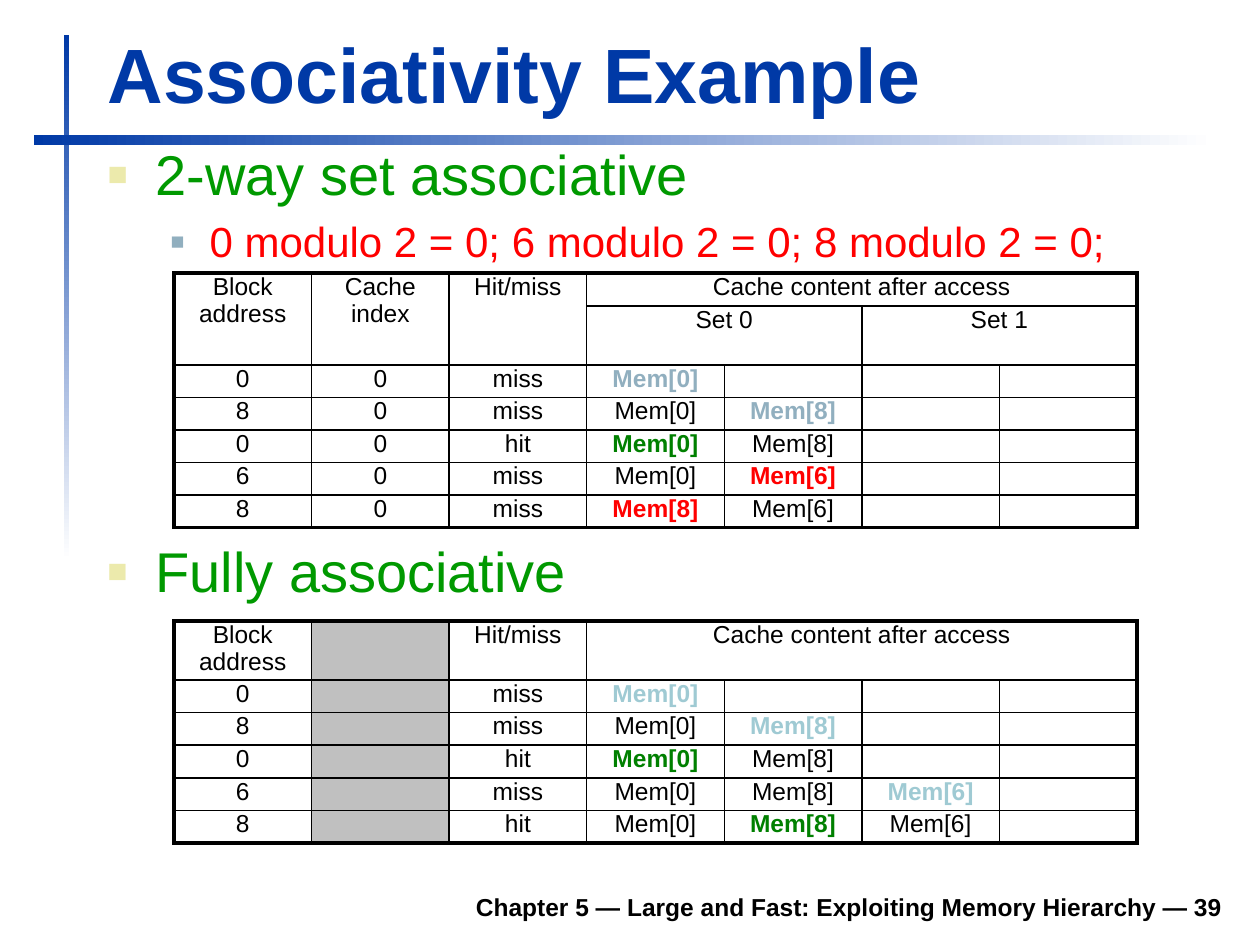
from dataclasses import dataclass

from lxml.etree import SubElement
from pptx import Presentation
from pptx.dml.color import RGBColor
from pptx.enum.shapes import MSO_SHAPE
from pptx.enum.text import MSO_ANCHOR, MSO_AUTO_SIZE, PP_ALIGN
from pptx.oxml.ns import qn
from pptx.util import Emu, Pt


@dataclass(frozen=True)
class Theme:
    font: str = "Arial"
    blue: str = "0039A6"
    white: str = "FFFFFF"
    black: str = "000000"
    heading: str = "009900"
    red: str = "FF0000"
    hit: str = "008000"
    steel: str = "91AFBF"
    aqua: str = "9FCAD3"
    sand: str = "ECEAAC"
    grey: str = "C0C0C0"
    title_size: int = 44
    heading_size: int = 32
    detail_size: int = 24
    small_size: int = 14
    outer_line: float = 2.25
    inner_line: float = 1
    plain_table: str = "{2D5ABB26-0587-4C30-8999-92F81FD0307C}"


THEME = Theme()


def px(length):
    return Emu(round(length * 914400 / 126))


def place(part, box):
    part.left, part.top, part.width, part.height = map(px, box)


def style(paragraph, size, color, bold=False):
    for run in paragraph.runs:
        run.font.name = THEME.font
        run.font.size = Pt(size)
        run.font.bold = bold
        run.font.color.rgb = RGBColor.from_string(color)


def bullet(paragraph, color, percent, margin, indent):
    props = paragraph._p.get_or_add_pPr()
    props.set("marL", str(px(margin)))
    props.set("indent", str(-px(indent)))
    tint = SubElement(props, qn("a:buClr"))
    SubElement(tint, qn("a:srgbClr"), val=color)
    SubElement(props, qn("a:buSzPct"), val=str(percent * 1000))
    SubElement(props, qn("a:buFont"), typeface=THEME.font)
    SubElement(props, qn("a:buChar"), char="■")


def heading(paragraph):
    bullet(paragraph, THEME.sand, 60, 48, 48)
    paragraph.space_before = Pt(0)
    style(paragraph, THEME.heading_size, THEME.heading)


def gradient_bar(slide, box, angle):
    bar = slide.shapes.add_shape(MSO_SHAPE.RECTANGLE, *map(px, box))
    bar.shadow.inherit = False
    bar.line.fill.background()
    bar.fill.gradient()
    bar.fill.gradient_angle = angle
    for stop, color in zip(bar.fill.gradient_stops, (THEME.blue, THEME.white)):
        stop.color.rgb = RGBColor.from_string(color)


def title_region(slide, box):
    title = slide.shapes.title
    place(title, box)
    frame = title.text_frame
    frame.text = "Associativity Example"
    frame.vertical_anchor = MSO_ANCHOR.BOTTOM
    frame.auto_size = MSO_AUTO_SIZE.NONE
    frame.paragraphs[0].alignment = PP_ALIGN.LEFT
    style(frame.paragraphs[0], THEME.title_size, THEME.blue, True)


def two_way_region(slide, box):
    body = slide.placeholders[1]
    place(body, box)
    frame = body.text_frame
    frame.text = "2-way set associative\n0 modulo 2 = 0; 6 modulo 2 = 0; 8 modulo 2 = 0;"
    frame.auto_size = MSO_AUTO_SIZE.NONE
    frame.margin_top = px(12)
    two_way, modulo = frame.paragraphs
    heading(two_way)
    modulo.level = 1
    bullet(modulo, THEME.steel, 55, 102, 39)
    modulo.space_before = Pt(5)
    style(modulo, THEME.detail_size, THEME.red)


def fully_region(slide, box):
    fully = slide.shapes.add_textbox(*map(px, box))
    frame = fully.text_frame
    frame.word_wrap = True
    frame.margin_top = px(12)
    frame.text = "Fully associative"
    heading(frame.paragraphs[0])
    frame.paragraphs[0].line_spacing = 0.9


def footer_region(slide, box):
    footer = slide.shapes.add_textbox(*map(px, box))
    frame = footer.text_frame
    frame.word_wrap = True
    frame.vertical_anchor = MSO_ANCHOR.BOTTOM
    frame.text = "Chapter 5 — Large and Fast: Exploiting Memory Hierarchy — 39"
    frame.paragraphs[0].alignment = PP_ALIGN.RIGHT
    style(frame.paragraphs[0], THEME.small_size, THEME.black, True)


def draw_borders(cell, outer_sides):
    props = cell._tc.get_or_add_tcPr()
    for side in "LRTB":
        weight = THEME.outer_line if side in outer_sides else THEME.inner_line
        line = SubElement(props, qn(f"a:ln{side}"), w=str(Pt(weight)))
        fill = SubElement(line, qn("a:solidFill"))
        SubElement(fill, qn("a:srgbClr"), val=THEME.black)


def fill_cell(cell, text, color):
    cell.margin_top = cell.margin_bottom = 0
    cell.text_frame.text = text
    paragraph = cell.text_frame.paragraphs[0]
    paragraph.alignment = PP_ALIGN.CENTER
    style(paragraph, THEME.small_size, color or THEME.black, bool(color))
    if not text:
        SubElement(paragraph._p, qn("a:endParaRPr"), sz=str(THEME.small_size * 100))


def access_table(slide, box, first_height, rows, merges, emphasis, shaded=None):
    row_count, column_count = len(rows), 7
    frame = slide.shapes.add_table(row_count, column_count, *map(px, box))
    table = frame.table
    table.first_row = table.horz_banding = False
    table._tbl.tblPr.find(qn("a:tableStyleId")).text = THEME.plain_table
    for column in table.columns:
        column.width = px(box[2] / column_count)
    for index, row in enumerate(table.rows):
        row.height = px((box[3] - first_height) / (row_count - 1) if index else first_height)
    for first, last in merges:
        table.cell(*first).merge(table.cell(*last))
    for r, texts in enumerate(rows):
        for c in range(column_count):
            cell = table.cell(r, c)
            fill_cell(cell, texts[c] if c < len(texts) else "", emphasis.get((r, c)))
            if not cell.is_spanned:
                right = c + (cell.span_width if cell.is_merge_origin else 1)
                bottom = r + (cell.span_height if cell.is_merge_origin else 1)
                edges = {"L": c == 0, "T": r == 0,
                         "R": right == column_count, "B": bottom == row_count}
                draw_borders(cell, [side for side, outer in edges.items() if outer])
            if c == shaded:
                cell.fill.solid()
                cell.fill.fore_color.rgb = RGBColor.from_string(THEME.grey)
            else:
                cell.fill.background()


def main():
    deck = Presentation()
    deck.slide_width, deck.slide_height = px(1260), px(945)
    slide = deck.slides.add_slide(deck.slide_layouts[1])
    gradient_bar(slide, (64, 35, 5, 525), 270)
    gradient_bar(slide, (34, 135, 1181, 10), 0)
    footer_region(slide, (233, 879, 1002, 49))
    title_region(slide, (95, 20, 1138, 105))
    two_way_region(slide, (95, 128, 1140, 100))
    access_table(
        slide, (174, 273, 963, 228), 33,
        [("Block address", "Cache index", "Hit/miss", "Cache content after access"),
         ("", "", "", "Set 0", "", "Set 1"),
         ("0", "0", "miss", "Mem[0]"),
         ("8", "0", "miss", "Mem[0]", "Mem[8]"),
         ("0", "0", "hit", "Mem[0]", "Mem[8]"),
         ("6", "0", "miss", "Mem[0]", "Mem[6]"),
         ("8", "0", "miss", "Mem[8]", "Mem[6]")],
        [((0, c), (1, c)) for c in range(3)]
        + [((0, 3), (0, 6)), ((1, 3), (1, 4)), ((1, 5), (1, 6))],
        {(2, 3): THEME.steel, (3, 4): THEME.steel, (4, 3): THEME.hit,
         (5, 4): THEME.red, (6, 3): THEME.red})
    fully_region(slide, (95, 532, 1071, 79))
    access_table(
        slide, (174, 621, 963, 222), 59,
        [("Block address", "", "Hit/miss", "Cache content after access"),
         ("0", "", "miss", "Mem[0]"),
         ("8", "", "miss", "Mem[0]", "Mem[8]"),
         ("0", "", "hit", "Mem[0]", "Mem[8]"),
         ("6", "", "miss", "Mem[0]", "Mem[8]", "Mem[6]"),
         ("8", "", "hit", "Mem[0]", "Mem[8]", "Mem[6]")],
        [((0, 3), (0, 6))],
        {(1, 3): THEME.aqua, (2, 4): THEME.aqua, (3, 3): THEME.hit,
         (4, 5): THEME.aqua, (5, 4): THEME.hit},
        shaded=1)
    deck.save("out.pptx")


if __name__ == "__main__":
    main()
